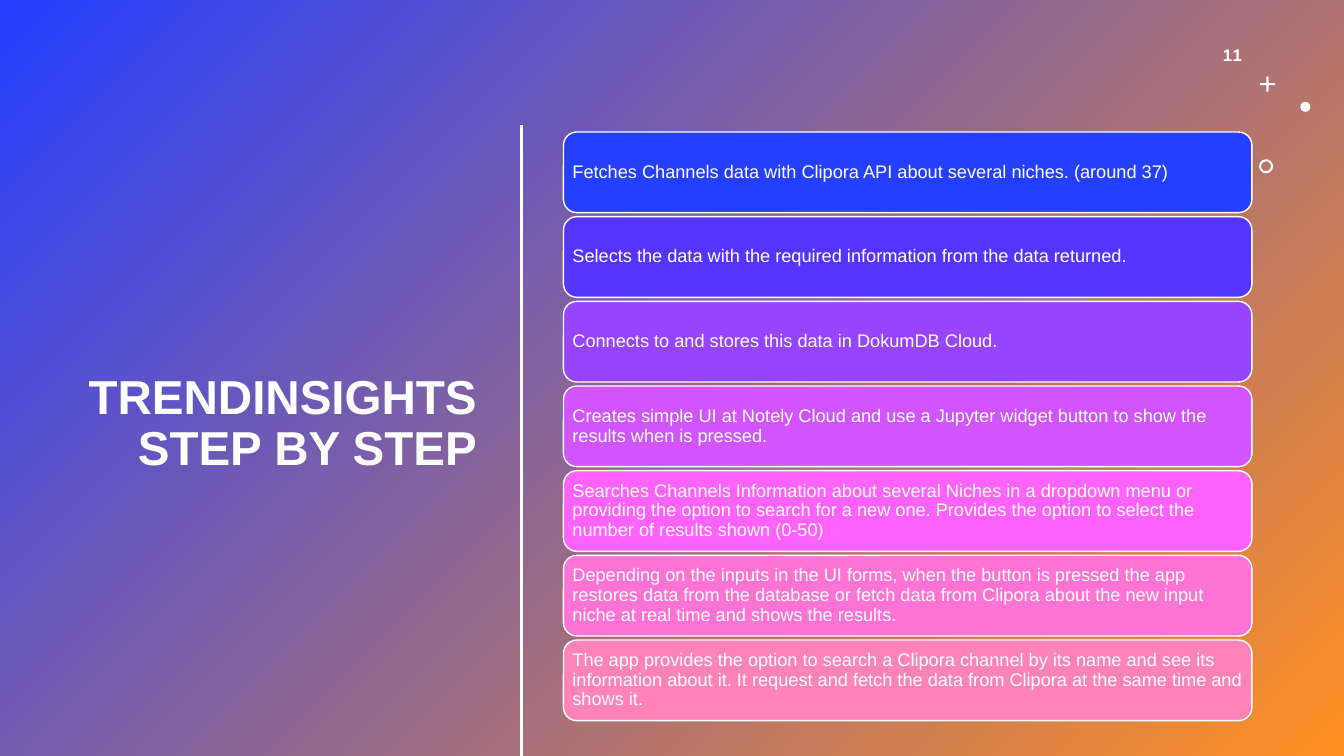
from pptx import Presentation
from pptx import util as u
from pptx.dml.color import RGBColor
from pptx.enum import shapes, text
from pptx.oxml.ns import qn
from lxml import etree

THEME = {
    "font": "Arial", "ink": "FFFFFF", "backdrop": ("243FFF", "FF9022"),
    "title": 34, "number": 12, "step": 13,
}
STEPS = [
    ("243FFF", "Fetches Channels data with Clipora API about several niches. (around 37)"),
    ("5534FF", "Selects the data with the required information from the data returned."),
    ("9744FF", "Connects to and stores this data in DokumDB Cloud."),
    ("D154FF", "Creates simple UI at Notely Cloud and use a Jupyter widget button to show the "
               "results when is pressed."),
    ("FF63FC", "Searches Channels Information about several Niches in a dropdown menu or providing "
               "the option to search for a new one. Provides the option to select the number of "
               "results shown (0-50)"),
    ("FF73D5", "Depending on the inputs in the UI forms, when the button is pressed the app restores "
               "data from the database or fetch data from Clipora about the new input niche at real "
               "time and shows the results."),
    ("FF83B6", "The app provides the option to search a Clipora channel by its name and see its "
               "information about it. It request and fetch the data from Clipora at the same time "
               "and shows it."),
]

deck = Presentation()
deck.slide_width, deck.slide_height = u.Inches(13.333), u.Inches(7.5)
slide = deck.slides.add_slide(deck.slide_layouts[6])
ink = RGBColor.from_string(THEME["ink"])


def add_block(kind, left, top, width, height, fill=None, outline=None):
    block = slide.shapes.add_shape(kind, *(u.Inches(n) for n in (left, top, width, height)))
    block.shadow.inherit = False
    if fill:
        block.fill.solid()
        block.fill.fore_color.rgb = RGBColor.from_string(fill)
    if outline:
        block.line.color.rgb = ink
        block.line.width = u.Pt(outline)
    else:
        block.line.fill.background()
    return block


def write(holder, words, size, bold=False, align=text.PP_ALIGN.LEFT, spacing=0.9,
          inset=0.1, tracking=None):
    frame = holder.text_frame
    frame.word_wrap = True
    frame.vertical_anchor = text.MSO_ANCHOR.MIDDLE
    frame.margin_left = frame.margin_right = u.Inches(inset)
    frame.margin_top = frame.margin_bottom = u.Inches(0.05)
    paragraph = frame.paragraphs[0]
    paragraph.alignment, paragraph.line_spacing = align, spacing
    run = paragraph.add_run()
    run.text = words
    run.font.name, run.font.size, run.font.bold = THEME["font"], u.Pt(size), bold
    run.font.color.rgb = ink
    if tracking:
        run.font._element.set("spc", str(tracking))


# Gradient backdrop, running from top left to bottom right
backdrop = add_block(shapes.MSO_SHAPE.RECTANGLE, 0, 0, 13.333, 7.5)
backdrop.fill.gradient()
backdrop.fill.gradient_angle = 315
for stop, position, colour in zip(backdrop.fill.gradient_stops, (0, 1), THEME["backdrop"]):
    stop.position = position
    stop.color.rgb = RGBColor.from_string(colour)

# Title and slide number
title = slide.shapes.add_textbox(*(u.Inches(n) for n in (0.52, 1.16, 4.31, 6.11)))
write(title, "TRENDINSIGHTS STEP BY STEP", THEME["title"], bold=True, align=text.PP_ALIGN.RIGHT)
number = slide.shapes.add_textbox(*(u.Inches(n) for n in (9.42, 0.34, 3, 0.4)))
write(number, "11", THEME["number"], bold=True, align=text.PP_ALIGN.RIGHT, spacing=1,
      tracking=100)

# Plus, dot and ring ornaments
plus = add_block(shapes.MSO_SHAPE.CROSS, 12.5, 0.76, 0.15, 0.15, THEME["ink"])
plus.adjustments[0] = 0.43
add_block(shapes.MSO_SHAPE.OVAL, 12.9, 1.01, 0.1, 0.1, THEME["ink"])
ring = add_block(shapes.MSO_SHAPE.DONUT, 12.49, 1.58, 0.14, 0.14, THEME["ink"])
ring.adjustments[0] = 0.15

# Divider between title and steps
divider = slide.shapes.add_connector(
    shapes.MSO_CONNECTOR.STRAIGHT, *(u.Inches(n) for n in (5.17, 1.24, 5.17, 7.5)))
divider.line.color.rgb = ink
divider.line.width = u.Pt(2)
etree.SubElement(divider._element.spPr, qn("a:effectLst"))

# Steps, stacked at an equal pitch
STEPS_LEFT, STEPS_TOP, STEP_WIDTH, STEP_HEIGHT, STEP_PITCH = 5.59, 1.31, 6.83, 0.8, 0.84
for row, (colour, words) in enumerate(STEPS):
    step = add_block(shapes.MSO_SHAPE.ROUNDED_RECTANGLE, STEPS_LEFT, STEPS_TOP + row * STEP_PITCH,
                     STEP_WIDTH, STEP_HEIGHT, colour, outline=1)
    write(step, words, THEME["step"], inset=0.05)

deck.save("out.pptx")
